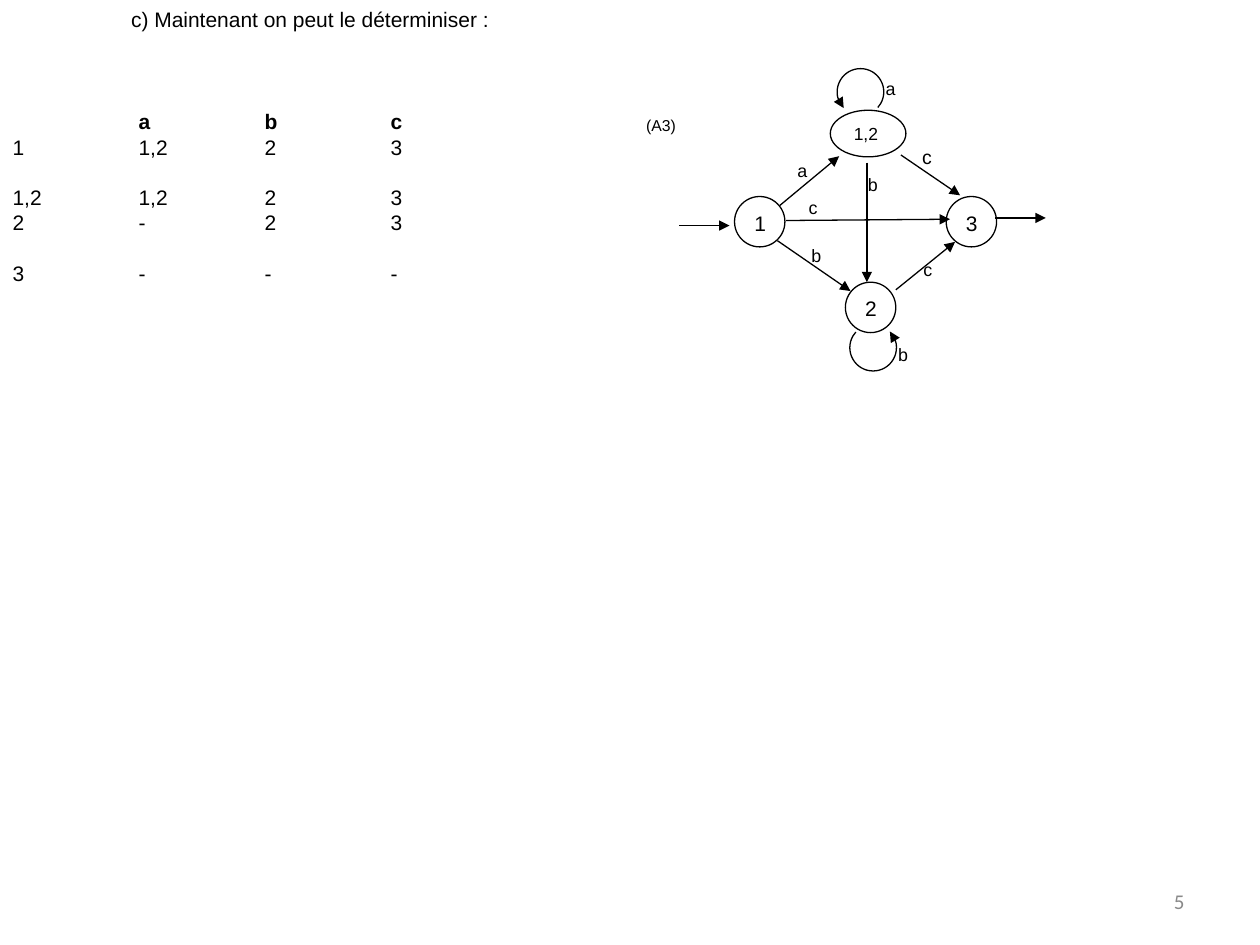
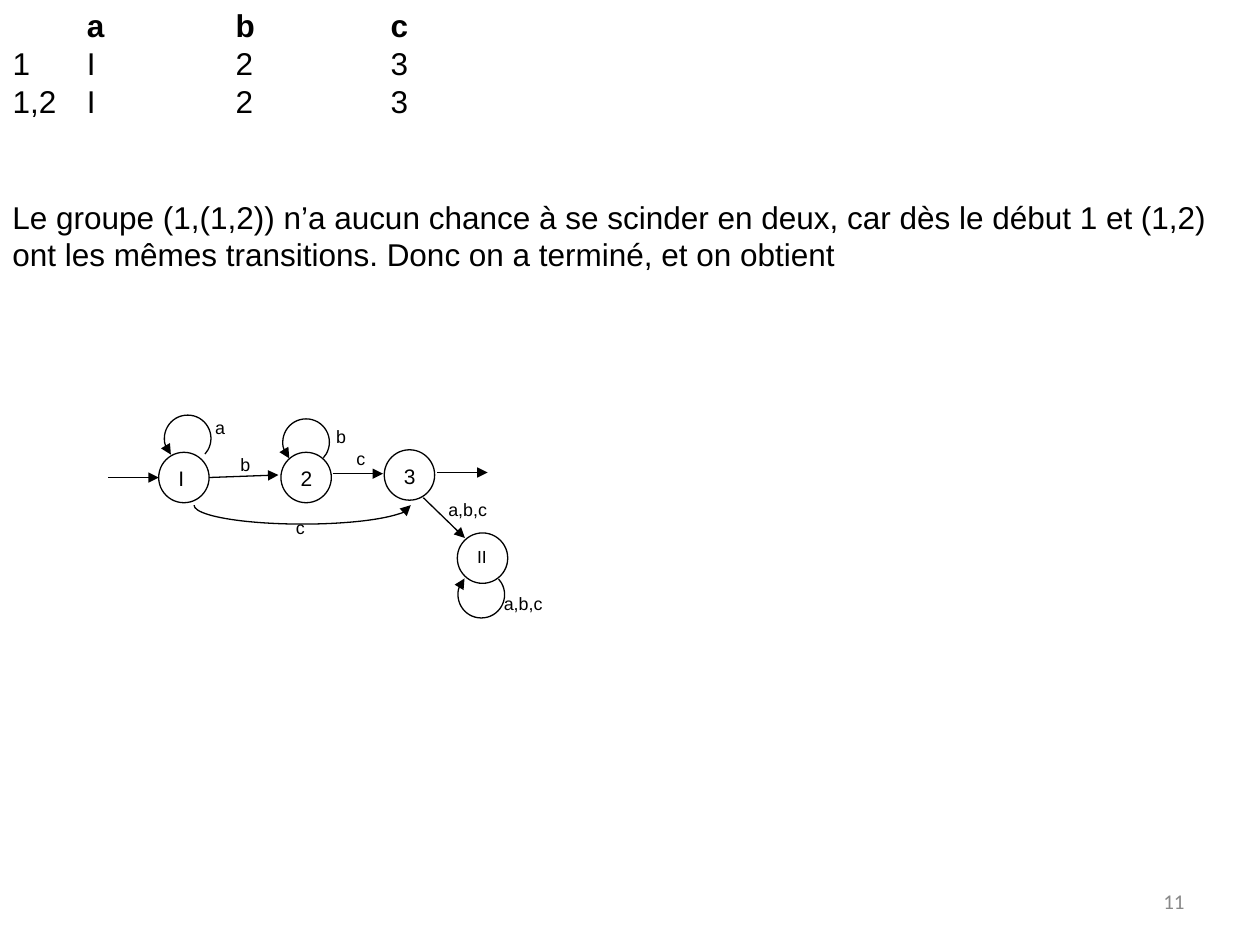
from lxml import etree
from pptx import Presentation
from pptx.dml.color import RGBColor
from pptx.enum.shapes import MSO_CONNECTOR, MSO_SHAPE
from pptx.enum.text import MSO_ANCHOR, PP_ALIGN
from pptx.oxml.ns import qn
from pptx.util import Inches, Pt

OVAL, ARC = MSO_SHAPE.OVAL, MSO_SHAPE.ARC
LINE = MSO_CONNECTOR.STRAIGHT
TOP, MIDDLE = MSO_ANCHOR.TOP, MSO_ANCHOR.MIDDLE
LEFT, RIGHT = PP_ALIGN.LEFT, PP_ALIGN.RIGHT

WIDE, HIGH = 10, 7.5
INK = {"text": "000000", "line": "000000", "node": "FFFFFF", "page": "898989"}
FONT, PAGE_FONT = "Arial", "Calibri"
LOOP = 0.37   # diameter of a self-loop
DISC = 0.4    # diameter of a state
STEP = 0.4    # length of an entry or exit arrow


def tint(name):
    return RGBColor.from_string(INK[name])


def box(x, y, w, h):
    return [Inches(v) for v in (x, y, w, h)]


# Text
def write(frame, text, size, bold=False, align=LEFT, anchor=TOP,
          face=FONT, ink="text", lead=None):
    frame.word_wrap = True
    frame.vertical_anchor = anchor
    frame.text = text
    for para in frame.paragraphs:
        para.alignment = align
        para.line_spacing = lead
        para.font.name, para.font.size = face, Pt(size)
        para.font.bold = bold
        para.font.color.rgb = tint(ink)


def note(slide, text, x, y, w, h, size, **look):
    write(slide.shapes.add_textbox(*box(x, y, w, h)).text_frame,
          text, size, **look)


def label(slide, text, x, y, size=10.2):
    note(slide, text, x, y, 0.67 if len(text) > 1 else 0.28, 0.28, size,
         lead=0.9)


def page(slide, number):
    note(slide, str(number), 0.717 * WIDE, 0.927 * HIGH, 0.233 * WIDE, 0.4, 12,
         align=RIGHT, anchor=MIDDLE, face=PAGE_FONT, ink="page")


def title(slide, text):
    head = slide.shapes.title
    head.left, head.top, head.width, head.height = box(0.94, 0, 8.12, 0.5)
    write(head.text_frame, text, 12)


# Transition table
def grid(slide, rows, y, cols, highs, size):
    frame = slide.shapes.add_table(len(rows), len(cols),
                                   *box(0, y, sum(cols), sum(highs)))
    table = frame.table
    table.first_row = table.horz_banding = False
    for col, wide in zip(table.columns, cols):
        col.width = Inches(wide)
    for r, (row, high) in enumerate(zip(rows, highs)):
        table.rows[r].height = Inches(high)
        for c, text in enumerate(row):
            cell = table.cell(r, c)
            cell.fill.background()
            cell.margin_left = Inches(0.1)
            cell.margin_right = cell.margin_top = cell.margin_bottom = 0
            write(cell.text_frame, text, size, bold=r == 0)


# Automaton parts
def stroke(shape, end=None):
    shape.line.color.rgb = tint("line")
    shape.line.width = Pt(0.75)
    if end:
        tip = etree.SubElement(shape.line._get_or_add_ln(), qn("a:" + end))
        tip.set("type", "triangle")


def state(slide, text, x, y, w=DISC, h=DISC, size=12):
    """Draw a state centred on x, y."""
    disc = slide.shapes.add_shape(OVAL, *box(x - w / 2, y - h / 2, w, h))
    disc.shadow.inherit = False
    disc.fill.solid()
    disc.fill.fore_color.rgb = tint("node")
    stroke(disc)
    write(disc.text_frame, text, size)


def arrow(slide, x1, y1, x2, y2):
    link = slide.shapes.add_connector(LINE, *box(x1, y1, x2, y2))
    stroke(link, "tailEnd")
    etree.SubElement(link._element.spPr, qn("a:effectLst"))


def bend(slide, x, y, start, stop, end="headEnd", w=LOOP, h=LOOP):
    """Draw a clockwise arc centred on x, y; angles in degrees."""
    arc = slide.shapes.add_shape(ARC, *box(x - w / 2, y - h / 2, w, h))
    arc.adjustments[0], arc.adjustments[1] = start * 0.6, stop * 0.6
    arc.shadow.inherit = False
    arc.fill.background()
    stroke(arc, end)


def first(deck):
    slide = deck.slides.add_slide(deck.slide_layouts[5])
    title(slide, "c) Maintenant on peut le déterminiser :")
    grid(slide, [("", "a", "b", "c"), ("1", "1,2", "2", "3"),
                 ("1,2", "1,2", "2", "3"), ("2", "-", "2", "3"),
                 ("3", "-", "-", "-")],
         0.88, [1] * 4, [0.2, 0.4, 0.2, 0.4, 0.2], 12)
    note(slide, "(A3)", 5.03, 0.87, 0.6, 0.25, 9)

    # States
    for text, x, y in (("1", 6.03, 1.76), ("2", 6.91, 2.44), ("3", 7.71, 1.76)):
        state(slide, text, x, y)
    state(slide, "1,2", 6.89, 1.06, 0.6, 0.37, 10)

    # Transitions
    for ends in ((5.39, 1.79, 5.39 + STEP, 1.79), (6.19, 1.63, 6.66, 1.24),
                 (7.15, 1.23, 7.62, 1.55), (7.11, 2.3, 7.58, 1.92),
                 (6.17, 1.91, 6.75, 2.31), (6.24, 1.75, 7.54, 1.74),
                 (6.88, 1.29, 6.88, 2.24), (7.9, 1.73, 7.9 + STEP, 1.73)):
        arrow(slide, *ends)
    bend(slide, 6.83, 0.73, 136, 42)
    bend(slide, 6.93, 2.76, 316, 222)
    for text, x, y in (("a", 6.23, 1.24), ("a", 6.93, 0.59), ("b", 6.34, 1.91),
                       ("b", 6.79, 1.35), ("b", 7.03, 2.7), ("c", 7.23, 2.02),
                       ("c", 6.32, 1.53)):
        label(slide, text, x, y)
    label(slide, "c", 7.22, 1.12, 11.1)
    page(slide, 5)


def second(deck):
    slide = deck.slides.add_slide(deck.slide_layouts[6])
    grid(slide, [("", "a", "b", "c"), ("1", "I", "2", "3"),
                 ("1,2", "I", "2", "3")],
         0.07, [0.59, 1.18, 1.23, 1], [0.3] * 3, 18)
    note(slide, "Le groupe (1,(1,2)) n’a aucun chance à se scinder en deux, "
         "car dès le début 1 et (1,2) ont les mêmes transitions. "
         "Donc on a terminé, et on obtient", 0, 1.52, WIDE, 0.7, 18)

    # States
    for text, x, y in (("I", 1.46, 3.79), ("2", 2.43, 3.79), ("3", 3.25, 3.77)):
        state(slide, text, x, y)
    state(slide, "II", 3.83, 4.43, size=10)

    # Transitions
    for ends in ((0.86, 3.79, 0.86 + STEP, 3.79), (1.66, 3.79, 2.21, 3.77),
                 (2.64, 3.76, 2.64 + STEP, 3.76),
                 (3.47, 3.75, 3.47 + STEP, 3.75), (3.36, 3.95, 3.69, 4.27)):
        arrow(slide, *ends)
    bend(slide, 1.49, 3.48, 136, 42)
    bend(slide, 2.43, 3.51, 136, 42)
    bend(slide, 3.82, 4.72, 318, 224, "tailEnd")
    bend(slide, 2.4, 4.01, 0, 180, w=1.72, h=0.3)
    for text, x, y in (("a", 1.61, 3.28), ("b", 2.57, 3.35), ("c", 2.73, 3.52),
                       ("b", 1.81, 3.57), ("c", 2.25, 4.07),
                       ("a,b,c", 3.46, 3.93), ("a,b,c", 3.9, 4.67)):
        label(slide, text, x, y)
    page(slide, 11)


def main():
    deck = Presentation()
    deck.slide_width, deck.slide_height = Inches(WIDE), Inches(HIGH)
    first(deck)
    second(deck)
    deck.save("out.pptx")


if __name__ == "__main__":
    main()
